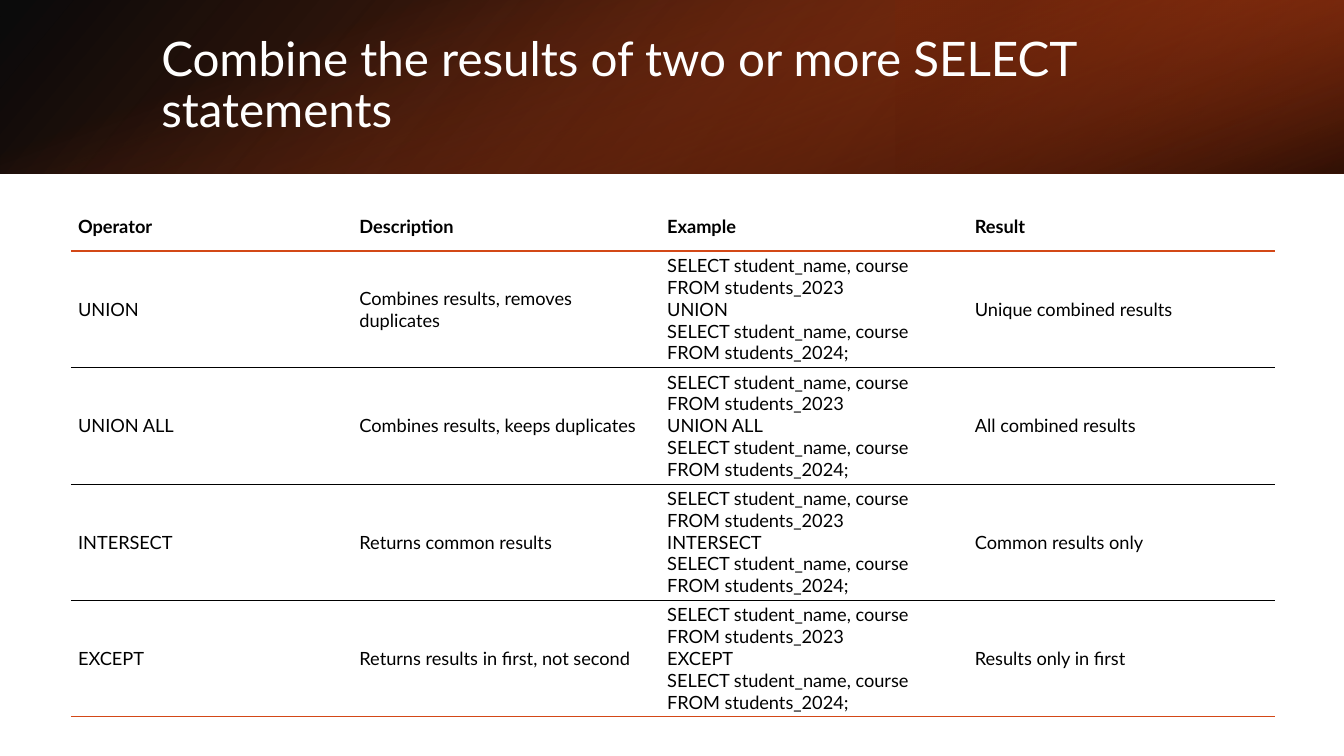
"""Build a slide with a gradient title band and a table of SQL set operators."""
from lxml import etree
from pptx import Presentation
from pptx.dml.color import RGBColor
from pptx.enum.shapes import MSO_SHAPE
from pptx.enum.text import MSO_ANCHOR, MSO_AUTO_SIZE, PP_ALIGN
from pptx.oxml.ns import qn
from pptx.util import Pt

RECT = MSO_SHAPE.RECTANGLE
MIDDLE = MSO_ANCHOR.MIDDLE
LEFT = PP_ALIGN.LEFT
NO_AUTOFIT = MSO_AUTO_SIZE.NONE
BLACK, WHITE, ORANGE = "000000", "FFFFFF", "D34817"
NO_STYLE = "{2D5ABB26-0587-4C30-8999-92F81FD0307C}"


def rgb(value):
    return RGBColor.from_string(value)


def style(p, size, color, bold):
    p.alignment = LEFT
    for name, value in {"name": "Lato", "size": Pt(size), "bold": bold}.items():
        setattr(p.font, name, value)
    p.font.color.rgb = rgb(color)


prs = Presentation()
prs.slide_width, prs.slide_height = Pt(960), Pt(540)
s = prs.slides.add_slide(prs.slide_layouts[5])

band_h = 124
bands = [
    ((0, 0, 960, band_h), 0, True, 140, [(0, BLACK, 96), (100, "9E3611", 100)]),
    ((640, 0, 320, band_h), 180, True, 320, [(19, "69240C", 68), (100, ORANGE, 79)]),
    ((418, -418, band_h, 960), 90, False, 340, [(23, ORANGE, 0), (99, BLACK, 74)]),
]
for box, rotation, flip, angle, stops in bands:
    sp = s.shapes.add_shape(RECT, *map(Pt, box))
    sp.rotation = rotation
    if flip:
        sp._element.spPr.find(qn("a:xfrm")).set("flipH", "1")
    sp.shadow.inherit = False
    sp.line.fill.background()
    sp.fill.gradient()
    sp.fill.gradient_angle = 360 - angle
    for stop, (position, color, opacity) in zip(sp.fill.gradient_stops, stops):
        stop.position = position / 100
        stop.color.rgb = rgb(color)
    for clr, (position, color, opacity) in zip(sp._element.spPr.iter(qn("a:srgbClr")), stops):
        etree.SubElement(clr, qn("a:alpha")).set("val", str(opacity * 1000))

title = s.shapes.title
for name, value in {"left": 108, "top": 27.4, "width": 790.6, "height": 69}.items():
    setattr(title, name, Pt(value))
tf = title.text_frame
tf.text = "Combine the results of two or more SELECT statements"
for name, value in {"auto_size": NO_AUTOFIT, "word_wrap": True, "vertical_anchor": MIDDLE}.items():
    setattr(tf, name, value)
style(tf.paragraphs[0], 34, WHITE, False)
tf.paragraphs[0].line_spacing = 0.9
s.shapes._spTree.append(title._element)

operators = [
    ("UNION", "Combines results, removes duplicates", "Unique combined results"),
    ("UNION ALL", "Combines results, keeps duplicates", "All combined results"),
    ("INTERSECT", "Returns common results", "Common results only"),
    ("EXCEPT", "Returns results in first, not second", "Results only in first"),
]
select = "SELECT student_name, course FROM students_"
rows = [("Operator", "Description", "Example", "Result")]
for operator, description, result in operators:
    rows.append((operator, description, f"{select}2023\n{operator}\n{select}2024;", result))

widths = [201] + [219.8] * 3
heights = [34.7] + [83.1] * 4
rules = [(ORANGE, 1.5)] + [(BLACK, 0.25)] * 3 + [(ORANGE, 1)]
frame = s.shapes.add_table(len(rows), len(widths), Pt(50.6), Pt(144.6), Pt(sum(widths)), Pt(sum(heights)))
table = frame.table
table.horz_banding = False
table._tbl.tblPr.find(qn("a:tableStyleId")).text = NO_STYLE
for column, width in zip(table.columns, widths):
    column.width = Pt(width)

margins = {"margin_left": 5.2, "margin_right": 5.2, "margin_top": 2.6, "margin_bottom": 2.6}
for i, texts in enumerate(rows):
    table.rows[i].height = Pt(heights[i])
    for j, text in enumerate(texts):
        cell = table.cell(i, j)
        cell.text = text
        cell.vertical_anchor = MIDDLE
        for name, value in margins.items():
            setattr(cell, name, Pt(value))
        for p in cell.text_frame.paragraphs:
            style(p, 13, BLACK, i == 0)
        edges = {"a:lnB": rules[i]}
        if i:
            edges = {"a:lnT": rules[i - 1], **edges}
        for tag, (color, weight) in edges.items():
            ln = etree.SubElement(cell._tc.get_or_add_tcPr(), qn(tag), w=str(Pt(weight)))
            fill = etree.SubElement(ln, qn("a:solidFill"))
            etree.SubElement(fill, qn("a:srgbClr"), val=color)
        cell.fill.background()

prs.save("out.pptx")
